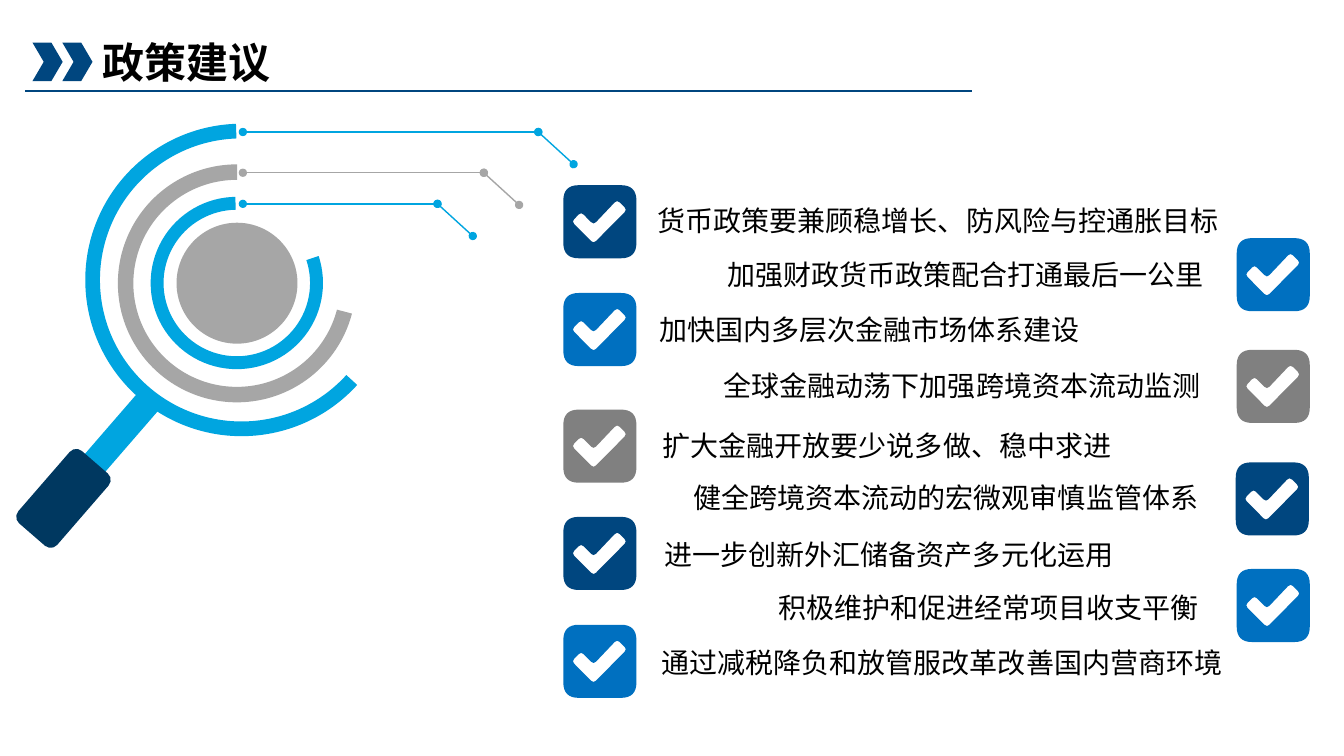
from dataclasses import dataclass

from lxml import etree
from pptx import Presentation
from pptx.dml.color import RGBColor
from pptx.enum.shapes import MSO_CONNECTOR, MSO_SHAPE
from pptx.enum.text import MSO_ANCHOR
from pptx.oxml.ns import qn
from pptx.util import Pt

LINE = MSO_CONNECTOR.STRAIGHT
ARC = MSO_SHAPE.BLOCK_ARC
CHEVRON = MSO_SHAPE.CHEVRON
OVAL = MSO_SHAPE.OVAL
RECT = MSO_SHAPE.RECTANGLE
ROUND = MSO_SHAPE.ROUNDED_RECTANGLE
MIDDLE = MSO_ANCHOR.MIDDLE


@dataclass(frozen=True)
class Theme:
    navy: str = "00467F"
    deep: str = "003860"
    blue: str = "0070C0"
    sky: str = "00A5E0"
    gray: str = "808080"
    pale: str = "A6A6A6"
    ink: str = "000000"
    head: str = "Arial"
    body: str = "Noto Sans CJK SC"
    big: int = 30
    size: int = 20


T = Theme()

SIDE = 52.2  # badge edge
SQUARE = [(0, 0), (SIDE, 0), (SIDE, SIDE), (0, SIDE)]
TICK = [(38.4, 10.5), (45.5, 17.5), (21.6, 41.7), (6, 26), (12.7, 19.2), (21.6, 28.2)]

# badge left, badge top, colour, text left, text top, text width, text
ITEMS = [
    (402.4, 132.3, T.navy, 462.6, 141.7, 476, "货币政策要兼顾稳增长、防风险与控通胀目标"),
    (883.4, 170.1, T.blue, 512.3, 180.4, 387, "加强财政货币政策配合打通最后一公里"),
    (402.4, 209.3, T.blue, 463.7, 219.6, 387, "加快国内多层次金融市场体系建设"),
    (883.4, 249.9, T.gray, 509.8, 259.2, 408, "全球金融动荡下加强跨境资本流动监测"),
    (402.4, 292.6, T.gray, 466.2, 302, 385, "扩大金融开放要少说多做、稳中求进"),
    (882.7, 330.3, T.navy, 488.2, 339.8, 431, "健全跨境资本流动的宏微观审慎监管体系"),
    (402.4, 369.2, T.navy, 467.6, 380.2, 385, "进一步创新外汇储备资产多元化运用"),
    (883.4, 406.4, T.blue, 548.9, 417.9, 387, "积极维护和促进经常项目收支平衡"),
    (402.4, 446.3, T.blue, 465.4, 457.2, 453, "通过减税降负和放管服改革改善国内营商环境"),
]

# height, bend, colour
TRACES = [(94.3, 384.5, T.sky), (123.4, 345.6, T.pale), (145.6, 312.5, T.sky)]


def paint(shape, color):
    shape.shadow.inherit = False
    shape.fill.solid()
    shape.fill.fore_color.rgb = RGBColor.from_string(color)
    shape.line.fill.background()


def block(slide, kind, x, y, w, h, color, turn=0, adj=()):
    shape = slide.shapes.add_shape(kind, Pt(x), Pt(y), Pt(w), Pt(h))
    shape.rotation = turn
    for i, value in enumerate(adj):
        shape.adjustments[i] = value
    paint(shape, color)


def line(slide, x1, y1, x2, y2, color, width, dots=False):
    link = slide.shapes.add_connector(LINE, Pt(x1), Pt(y1), Pt(x2), Pt(y2))
    link.line.color.rgb = RGBColor.from_string(color)
    link.line.width = Pt(width)
    props = link._element.spPr
    if dots:
        for end in ("a:headEnd", "a:tailEnd"):
            etree.SubElement(props.find(qn("a:ln")), qn(end), type="oval")
    etree.SubElement(props, qn("a:effectLst"))


def label(slide, x, y, w, h, text, font, size, bold=False):
    frame = slide.shapes.add_textbox(Pt(x), Pt(y), Pt(w), Pt(h)).text_frame
    frame.word_wrap = True
    frame.vertical_anchor = MIDDLE
    para = frame.paragraphs[0]
    para.text = text
    para.font.name = font
    para.font.size = Pt(size)
    para.font.bold = bold
    para.font.color.rgb = RGBColor.from_string(T.ink)


def corners(points, cut):
    """List entry, corner and exit points for each vertex."""
    path = []
    for i, (x, y) in enumerate(points):
        ends = []
        for px, py in (points[i - 1], points[(i + 1) % len(points)]):
            part = cut / ((px - x) ** 2 + (py - y) ** 2) ** 0.5
            ends.append((x + (px - x) * part, y + (py - y) * part))
        path += [ends[0], (x, y), ends[1]]
    return path


def bend(shape):
    """Turn each corner and exit pair into one quadratic curve."""
    for move in list(shape._element.iter(qn("a:moveTo"))):
        run = []
        step = move.getnext()
        while step is not None and step.tag == qn("a:lnTo"):
            run.append(step)
            step = step.getnext()
        for turn, leave in zip(run[::3], run[1::3]):
            turn.tag = qn("a:quadBezTo")
            turn.append(leave[0])
            leave.getparent().remove(leave)


def badge(slide, left, top, color):
    edge, hole = ([(Pt(left + x), Pt(top + y)) for x, y in corners(points, cut)]
                  for points, cut in ((SQUARE, 11), (TICK, 2.5)))
    pen = slide.shapes.build_freeform(*edge[0])
    pen.add_line_segments(edge[1:])
    pen.move_to(*hole[0])
    pen.add_line_segments(hole[1:])
    shape = pen.convert_to_shape()
    bend(shape)
    paint(shape, color)


def lens(slide):
    block(slide, ARC, 84.2, 117.4, 170, 170, T.pale, 45, (197.83, 135.07, 0.065))
    block(slide, RECT, 72.2, 271.4, 19.4, 86.4, T.sky, 40.9)
    block(slide, ROUND, 27, 321.8, 36.7, 68.4, T.deep, 40.9)
    block(slide, ARC, 60.9, 88.4, 223.2, 223.2, T.sky, 45, (214.33, 133.78, 0.047))
    block(slide, ARC, 107.6, 140.6, 123.1, 123.1, T.sky, 45, (178.06, 134.45, 0.075))
    block(slide, OVAL, 126.1, 159.1, 86.4, 86.4, T.pale)


def main():
    deck = Presentation()
    deck.slide_width, deck.slide_height = Pt(960), Pt(540)
    slide = deck.slides.add_slide(deck.slide_layouts[6])

    # Title bar
    line(slide, 18, 65.2, 694.5, 65.2, T.navy, 1.5)
    for x in (23.2, 44.5):
        block(slide, CHEVRON, x, 30.4, 21.6, 27.6, T.navy, 0, (0.375,))
    label(slide, 66.2, 22.3, 208.8, 43.6, "政策建议", T.head, T.big, True)

    # Magnifier and its traces
    lens(slide)
    for y, knee, color in TRACES:
        line(slide, knee + 25.2, y + 23, knee, y, color, 1, True)
        line(slide, knee, y, 173.5, y, color, 1, True)

    # Advice list
    for left, top, color, x, y, w, text in ITEMS:
        badge(slide, left, top, color)
        label(slide, x, y, w, 31.5, text, T.body, T.size)

    deck.save("out.pptx")


if __name__ == "__main__":
    main()
